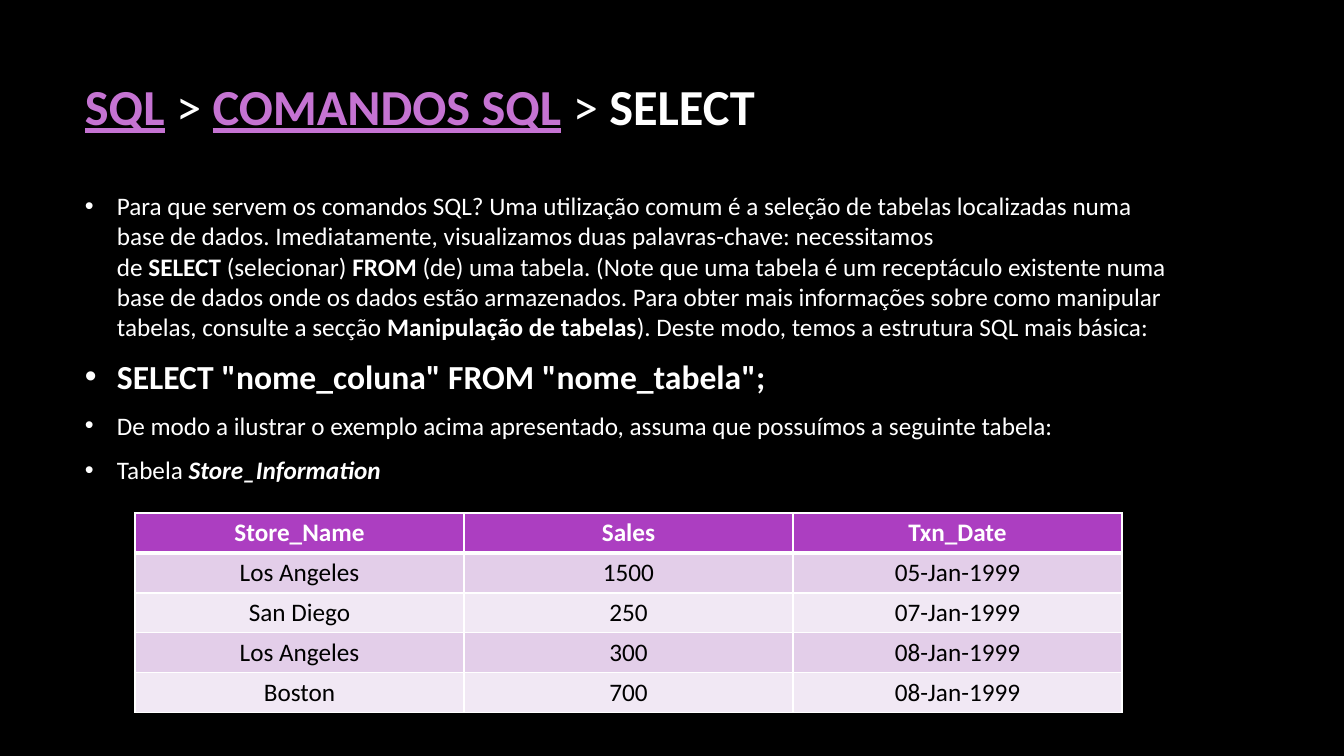
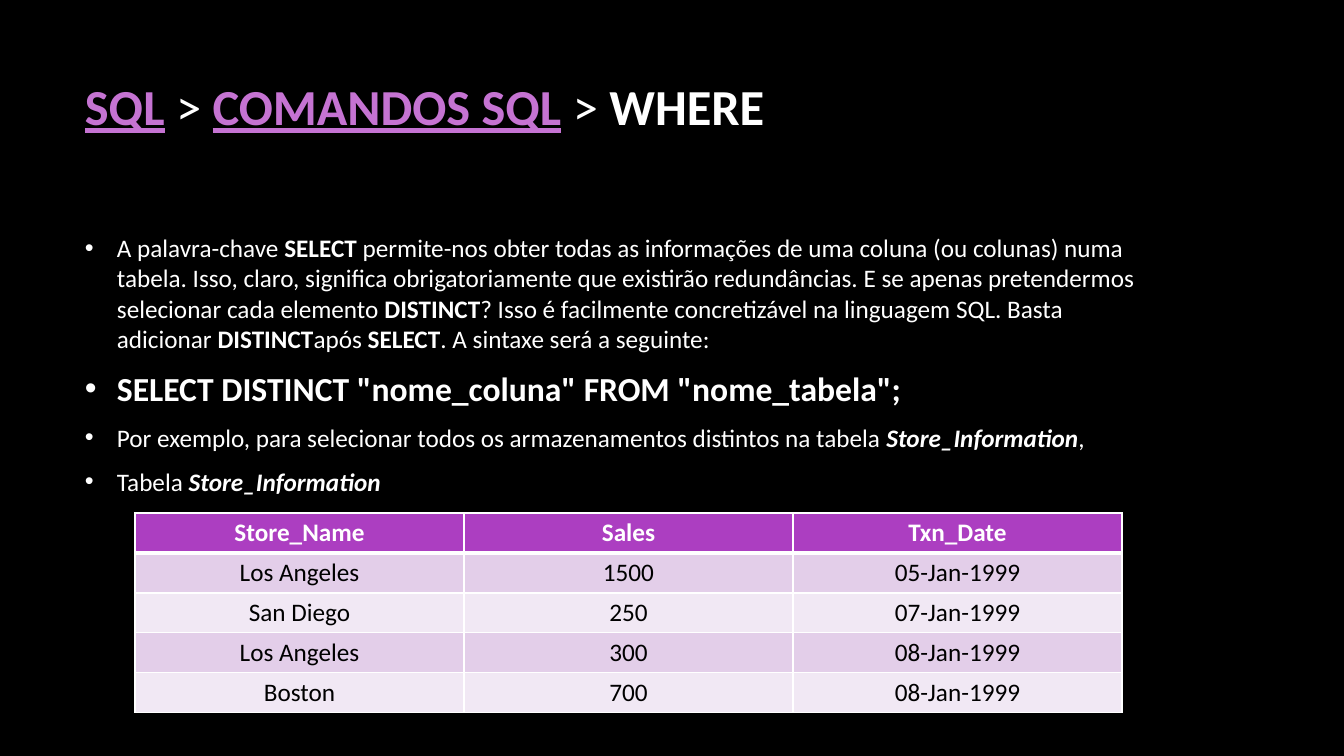
import pptx
import pptx.dml.color
import pptx.enum.text
import pptx.oxml.ns
import pptx.util
from lxml import etree

PX = 914400 / 100.8
FONT = "Calibri"
NBSP = chr(160)
BLACK, WHITE = "000000", "FFFFFF"
LINK, HEADER = "C573D2", "AC3EC1"
BANDS = ("E3CEE9", "F1E8F4")
ANCHOR = pptx.enum.text.MSO_ANCHOR
ALIGN = pptx.enum.text.PP_ALIGN

TITLE_BOX = (75, 67, 1117, 77)
BODY_BOX = (75, 143, 1117, 487)
TABLE_AT = (135, 513)
COL_W, ROW_H = 329, 40
INDENT = 32

PLAIN = {"size": 18}
BOLD = {"size": 18, "bold": True}
TERM = {"size": 18, "bold": True, "italic": True}
SYNTAX = {"size": 24, "bold": True}
CRUMB = {"size": 36}
CRUMB_LINK = {"size": 36, "bold": True, "underline": True, "color": LINK}
CRUMB_HERE = {"size": 36, "bold": True}

TABLE_CAPTION = [("Tabela ", PLAIN), ("Store_Information", TERM)]
STORE_ROWS = [
    ("Store_Name", "Sales", "Txn_Date"),
    ("Los Angeles", "1500", "05-Jan-1999"),
    ("San Diego", "250", "07-Jan-1999"),
    ("Los Angeles", "300", "08-Jan-1999"),
    ("Boston", "700", "08-Jan-1999"),
]

# Each slide: command, space kept free below the text (px), bullets.
SLIDES = [
    ("SELECT", 103, [
        [("Para que servem os comandos SQL? Uma utilização comum é a seleção de "
          "tabelas localizadas numa base de dados. Imediatamente, visualizamos duas "
          "palavras-chave: necessitamos de ", PLAIN),
         ("SELECT", BOLD), (" (selecionar) ", PLAIN), ("FROM", BOLD),
         (" (de) uma tabela. (Note que uma tabela é um receptáculo existente numa "
          "base de dados onde os dados estão armazenados. Para obter mais informações "
          "sobre como manipular tabelas, consulte a secção ", PLAIN),
         ("Manipulação de tabelas", BOLD),
         ("). Deste modo, temos a estrutura SQL mais básica:", PLAIN)],
        [('SELECT "nome_coluna" FROM "nome_tabela";', SYNTAX)],
        [("De modo a ilustrar o exemplo acima apresentado, assuma que possuímos "
          "a seguinte tabela:", PLAIN)],
        TABLE_CAPTION,
    ]),
    ("WHERE", 49, [
        [("A palavra-chave ", PLAIN), ("SELECT", BOLD),
         (" permite-nos obter todas as informações de uma coluna (ou colunas) numa "
          "tabela. Isso, claro, significa obrigatoriamente que existirão redundâncias. "
          "E se apenas pretendermos selecionar cada elemento ", PLAIN),
         ("DISTINCT", BOLD),
         ("? Isso é facilmente concretizável na linguagem SQL. Basta adicionar ", PLAIN),
         ("DISTINCT", BOLD), ("após ", PLAIN), ("SELECT", BOLD),
         (". A sintaxe será a seguinte:", PLAIN)],
        [('SELECT DISTINCT "nome_coluna" FROM "nome_tabela";', SYNTAX)],
        [("Por exemplo, para selecionar todos os armazenamentos distintos na tabela ",
          PLAIN),
         ("Store_Information", TERM), (",", PLAIN)],
        TABLE_CAPTION,
    ]),
]


def px(n):
    return pptx.util.Emu(round(n * PX))


def rgb(color):
    return pptx.dml.color.RGBColor.from_string(color)


def fill_solid(fill, color):
    fill.solid()
    fill.fore_color.rgb = rgb(color)


def sub(parent, tag, **attrs):
    return etree.SubElement(parent, pptx.oxml.ns.qn(tag), attrs)


def bind_edges(text):
    """Make a space at either end non-breaking, so that runs stay joined."""
    head = NBSP if text.startswith(" ") else ""
    tail = NBSP if text.endswith(" ") else ""
    return head + text.strip() + tail


def add_run(p, text, fmt):
    r = p.add_run()
    r.text = bind_edges(text)
    values = {"name": FONT, **fmt, "size": pptx.util.Pt(fmt["size"])}
    r.font.color.rgb = rgb(values.pop("color", WHITE))
    for name, value in values.items():
        setattr(r.font, name, value)


def add_text_box(slide, box):
    tf = slide.shapes.add_textbox(*map(px, box)).text_frame
    tf.word_wrap = True
    tf.vertical_anchor = ANCHOR.MIDDLE
    return tf


def add_title(slide, command):
    p = add_text_box(slide, TITLE_BOX).paragraphs[0]
    for text, fmt in (("SQL", CRUMB_LINK), (" > ", CRUMB),
                      ("COMANDOS SQL", CRUMB_LINK), (" > ", CRUMB),
                      (command, CRUMB_HERE)):
        add_run(p, text, fmt)


def set_bullet(p):
    p.space_after = pptx.util.Pt(10)
    pPr = p._p.get_or_add_pPr()
    pPr.set("marL", str(px(INDENT)))
    pPr.set("indent", str(-px(INDENT)))
    sub(sub(pPr, "a:buClr"), "a:srgbClr", val=WHITE)
    sub(pPr, "a:buFont", typeface="Arial")
    sub(pPr, "a:buChar", char="•")


def add_bullets(slide, bullets, free_below):
    tf = add_text_box(slide, BODY_BOX)
    tf.auto_size = pptx.enum.text.MSO_AUTO_SIZE.TEXT_TO_FIT_SHAPE
    tf.margin_bottom = px(free_below)
    for i, runs in enumerate(bullets):
        p = tf.add_paragraph() if i else tf.paragraphs[0]
        set_bullet(p)
        for text, fmt in runs:
            add_run(p, text, fmt)


def set_borders(cell, **widths):
    """Draw white borders; widths are points by side (L, R, T, B)."""
    tcPr = cell._tc.get_or_add_tcPr()
    for side in "LRTB":
        width = pptx.util.Pt(widths.get(side, 1))
        ln = sub(tcPr, f"a:ln{side}", w=str(width))
        sub(sub(ln, "a:solidFill"), "a:srgbClr", val=WHITE)


def format_cell(cell, text, row):
    set_borders(cell, **{0: {"B": 3}, 1: {"T": 3}}.get(row, {}))
    fill_solid(cell.fill, BANDS[(row - 1) % 2] if row else HEADER)
    cell.vertical_anchor = ANCHOR.MIDDLE
    for side in ("left", "right", "top", "bottom"):
        setattr(cell, f"margin_{side}", px(2))
    p = cell.text_frame.paragraphs[0]
    p.alignment = ALIGN.CENTER
    add_run(p, text, {**PLAIN, "color": BLACK} if row else BOLD)


def add_store_table(slide):
    n_rows, n_cols = len(STORE_ROWS), len(STORE_ROWS[0])
    box = (*TABLE_AT, n_cols * COL_W, n_rows * ROW_H)
    table = slide.shapes.add_table(n_rows, n_cols, *map(px, box)).table
    for i, values in enumerate(STORE_ROWS):
        for j, text in enumerate(values):
            format_cell(table.cell(i, j), text, i)


def main():
    prs = pptx.Presentation()
    prs.slide_width, prs.slide_height = px(1344), px(756)
    for command, free_below, bullets in SLIDES:
        slide = prs.slides.add_slide(prs.slide_layouts[6])
        fill_solid(slide.background.fill, BLACK)
        add_title(slide, command)
        add_bullets(slide, bullets, free_below)
        add_store_table(slide)
    prs.save("out.pptx")


if __name__ == "__main__":
    main()
